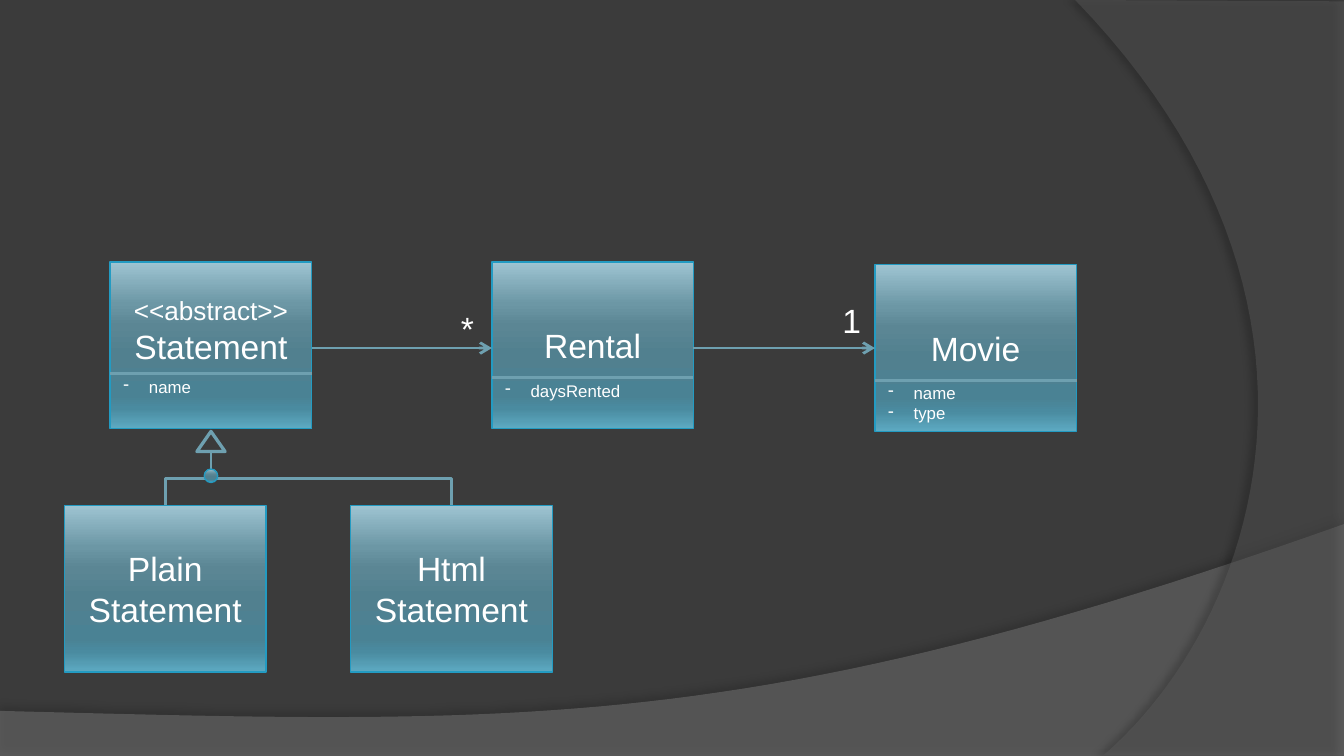
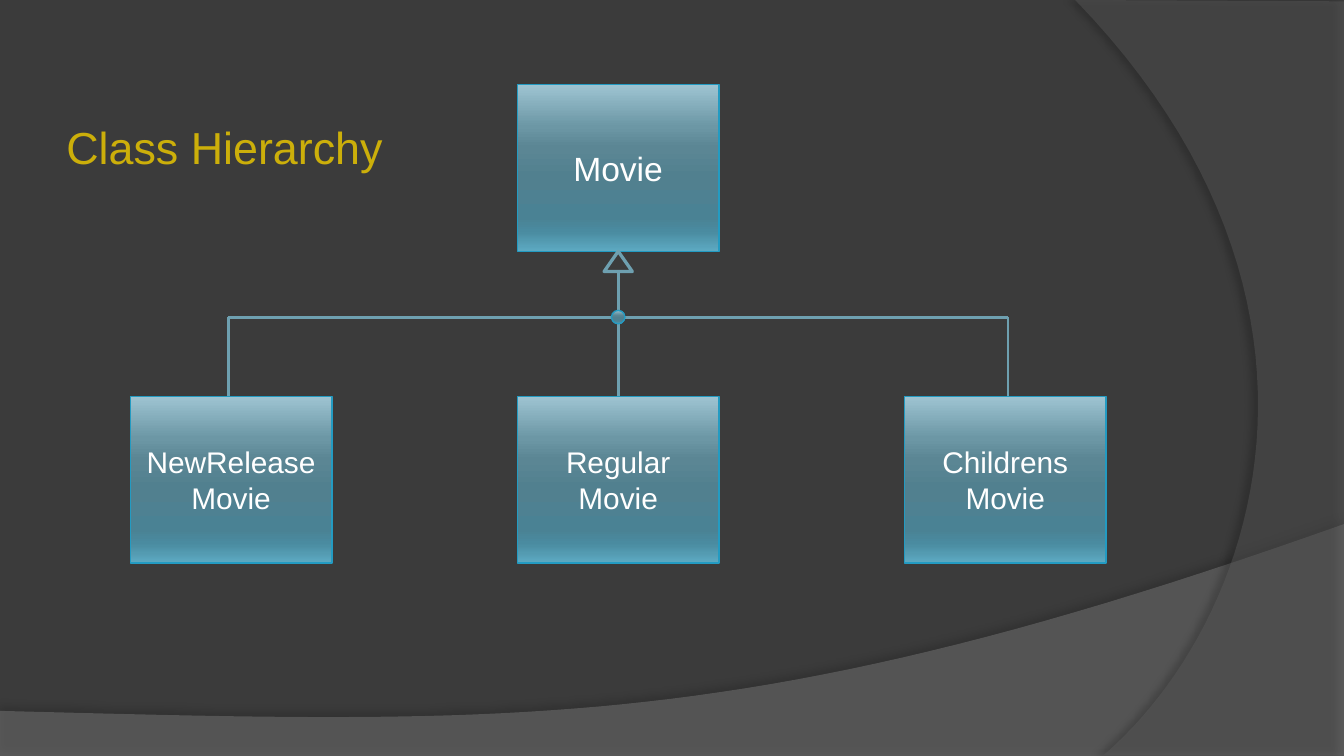
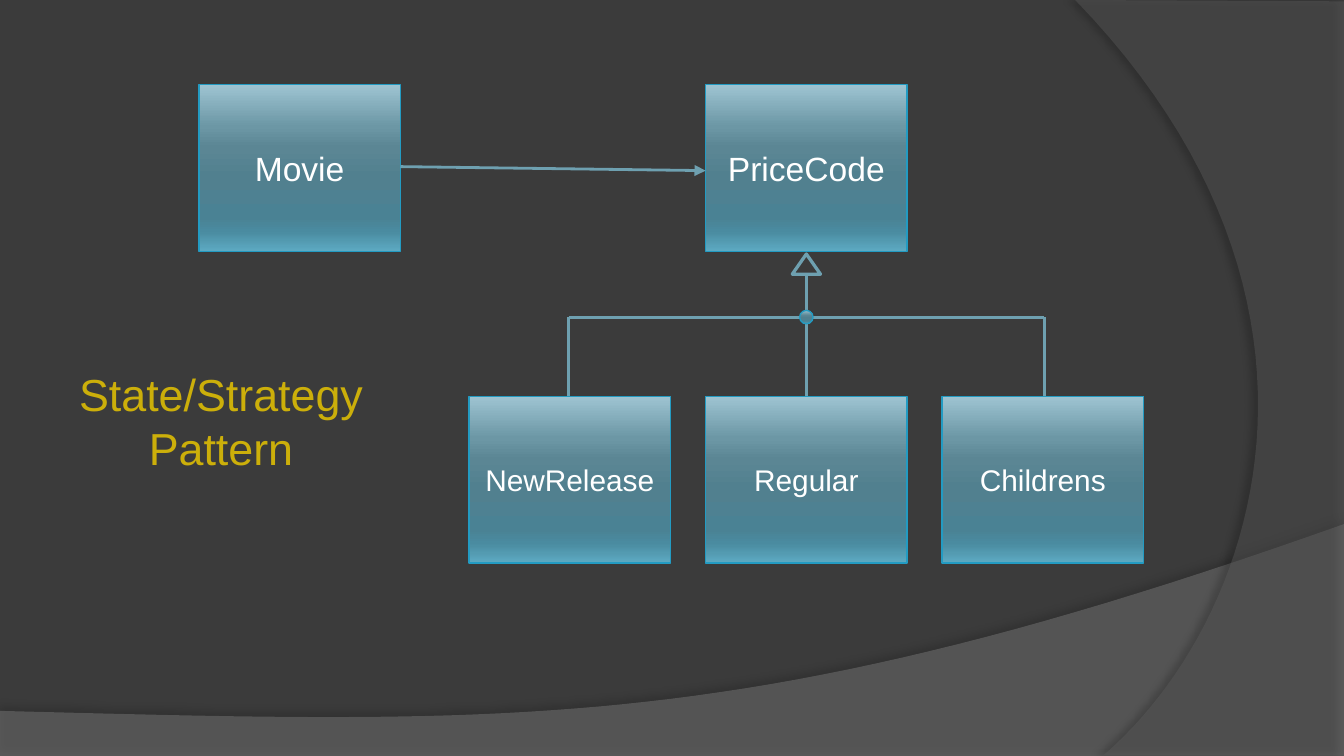
import lxml.etree
import pptx
import pptx.dml.color
import pptx.enum.shapes
import pptx.enum.text
import pptx.oxml.ns
import pptx.util

Inches = pptx.util.Inches
Pt = pptx.util.Pt
qn = pptx.oxml.ns.qn
Shape = pptx.enum.shapes.MSO_SHAPE
Link = pptx.enum.shapes.MSO_CONNECTOR
Align = pptx.enum.text.PP_ALIGN
Anchor = pptx.enum.text.MSO_ANCHOR
Fit = pptx.enum.text.MSO_AUTO_SIZE

FONT = "Arial"
BACK = "3B3B3B"
WHITE = "FFFFFF"
GOLD = "CCAF0A"
EDGE = "239BC2"
WIRE = "6EA0B0"
GLOSS = [(0, "9EC4D2"), (25, "6C97A5"), (38, "5B8694"), (55, "51808F"),
         (80, "4A8294"), (88, "4A8BA0"), (100, "5DAAC2")]
WIDE, HIGH = 1.5, 1.24
HEAD_W, HEAD_H = 0.21, 0.15
DOT = 0.1


def paint(color, value):
    color.rgb = pptx.dml.color.RGBColor.from_string(value)


def node(parent, tag, **attrs):
    return lxml.etree.SubElement(
        parent, qn(tag), {key: str(val) for key, val in attrs.items()})


def write(frame, text, sizes, color=WHITE, align=Align.CENTER):
    frame.text = text
    for i, para in enumerate(frame.paragraphs):
        para.alignment = align
        for run in para.runs:
            run.font.name = FONT
            run.font.size = Pt(sizes[min(i, len(sizes) - 1)])
            paint(run.font.color, color)


def label(slide, box, text, size, color=WHITE, align=Align.LEFT, wrap=True):
    item = slide.shapes.add_textbox(*map(Inches, box))
    frame = item.text_frame
    frame.word_wrap = wrap
    frame.auto_size = Fit.SHAPE_TO_FIT_TEXT
    write(frame, text, [size], color, align)
    return frame


def shape(slide, kind, box):
    item = slide.shapes.add_shape(kind, *map(Inches, box))
    item.shadow.inherit = False
    return item


def gloss(slide, kind, box):
    item = shape(slide, kind, box)
    item.fill.gradient()
    item.fill.gradient_angle = 270
    stops = item.element.spPr.find(".//" + qn("a:gsLst"))
    for stop in list(stops):
        stops.remove(stop)
    for pos, value in GLOSS:
        stop = node(stops, "a:gs", pos=pos * 1000)
        node(stop, "a:srgbClr", val=value)
    paint(item.line.color, EDGE)
    item.line.width = Pt(0.75)
    return item


def block(slide, left, top, text, sizes=(18,)):
    item = gloss(slide, Shape.RECTANGLE, (left, top, WIDE, HIGH))
    frame = item.text_frame
    frame.word_wrap = True
    frame.vertical_anchor = Anchor.MIDDLE
    write(frame, text, sizes)
    return frame


def wire(slide, start, end, tail=None, kind=Link.STRAIGHT):
    item = slide.shapes.add_connector(kind, *map(Inches, start + end))
    paint(item.line.color, WIRE)
    item.line.width = Pt(1.5)
    props = item.element.spPr
    if tail:
        node(props.find(qn("a:ln")), "a:tailEnd", type=tail)
    node(props, "a:effectLst")
    return item


def elbow(slide, start, end):
    mid_x, mid_y = (start[0] + end[0]) / 2, (start[1] + end[1]) / 2
    half_w, half_h = (end[1] - start[1]) / 2, abs(end[0] - start[0]) / 2
    item = wire(slide, (mid_x - half_w, mid_y - half_h),
                (mid_x + half_w, mid_y + half_h), kind=Link.ELBOW)
    turn = item.element.spPr.find(qn("a:xfrm"))
    if end[0] > start[0]:
        turn.set("rot", str(270 * 60000))
        turn.set("flipH", "1")
    else:
        turn.set("rot", str(90 * 60000))


def head(slide, mid, top):
    item = shape(slide, Shape.ISOSCELES_TRIANGLE,
                 (mid - HEAD_W / 2, top, HEAD_W, HEAD_H))
    item.fill.background()
    paint(item.line.color, WIRE)
    item.line.width = Pt(1.75)


def joint(slide, mid, level):
    gloss(slide, Shape.OVAL, (mid - DOT / 2, level - DOT / 2, DOT, DOT))


def fields(slide, box, names):
    frame = label(slide, box, "\n".join(names), 9)
    for para in frame.paragraphs:
        props = para._p.get_or_add_pPr()
        props.set("marL", str(Inches(0.19)))
        props.set("indent", str(Inches(-0.19)))
        node(props, "a:buChar", char="-")


def card(slide, left, top, text, names, rule, sizes=(18,)):
    frame = block(slide, left, top, text, sizes)
    fields(slide, (left, top + rule - 0.03, WIDE, 0.1 + 0.15 * len(names)), names)
    wire(slide, (left, top + rule), (left + WIDE, top + rule))
    return frame


def tree(slide, left, top, root, kids, pitch, reach, gap=0):
    mid = left + pitch + WIDE / 2
    level, floor = top + 1.73, top + 2.32
    block(slide, left + pitch, top, root)
    for i, kid in enumerate(kids):
        block(slide, left + i * pitch, floor, kid, (16,))
    tip = top + HIGH + gap
    wire(slide, (mid, tip + HEAD_H), (mid, floor))
    head(slide, mid, tip)
    wire(slide, (mid - reach, level), (mid + reach, level))
    for side in (mid - reach, mid + reach):
        wire(slide, (side, level), (side, floor))
    joint(slide, mid, level)


def bezier(start, ctrl1, ctrl2, end, count=48):
    for i in range(1, count + 1):
        t = i / count
        u = 1 - t
        yield tuple(u**3 * a + 3 * u * u * t * b + 3 * u * t * t * c + t**3 * d
                    for a, b, c, d in zip(start, ctrl1, ctrl2, end))


def swoop(slide, left, top, edge, curve, color, alpha, shade):
    points = edge + list(bezier(edge[-1], *curve))
    points = [(Inches(left + x), Inches(top + y)) for x, y in points]
    pen = slide.shapes.build_freeform(*points[0])
    pen.add_line_segments(points[1:], close=True)
    item = pen.convert_to_shape()
    item.shadow.inherit = False
    item.fill.solid()
    paint(item.fill.fore_color, color)
    item.line.fill.background()
    props = item.element.spPr
    tint = props.find(qn("a:solidFill")).find(qn("a:srgbClr"))
    node(tint, "a:alpha", val=alpha * 1000)
    dark, blur, dist, angle = shade
    glow = node(props.find(qn("a:effectLst")), "a:outerShdw", blurRad=Pt(blur),
                dist=Pt(dist), dir=angle * 60000, algn="ctr", rotWithShape=0)
    node(node(glow, "a:srgbClr", val="000000"), "a:alpha", val=dark * 1000)
    return item


def backdrop(master, slide):
    master.background.fill.solid()
    paint(master.background.fill.fore_color, BACK)
    wave = swoop(slide, 0, 3.9, [(0, 1.39), (0, 1.73), (10, 1.73), (10, 0)],
                 [(5.59, 1.57), (3.91, 1.49), (0, 1.39)],
                 "7F7F7F", 45, (35, 4, 3.5, 270))
    arc = swoop(slide, 8, 0, [(2, 0.01), (2, 5.62), (0.21, 5.62)],
                [(1.35, 4.64), (2.18, 2.25), (0, 0)],
                "5E5E5E", 40, (45, 4, 4, 180))
    for i, item in enumerate((wave, arc)):
        item.element.nvSpPr.cNvPr.set("id", str(20 + i))
        master.shapes.element.append(item.element)


def model(slide, left, top):
    frame = card(slide, left, top, "<<abstract>>\nStatement", ["name"], 0.83, (14, 18))
    frame.margin_bottom = Inches(0.27)
    rental, movie = left + 2.84, left + 5.69
    card(slide, rental, top, "Rental", ["daysRented"], 0.86)
    card(slide, movie, top + 0.02, "Movie", ["name", "type"], 0.86)
    level = top + 0.64
    wire(slide, (left + WIDE, level), (rental, level), "arrow")
    wire(slide, (rental + WIDE, level), (movie, level), "arrow")
    label(slide, (rental - 0.33, top + 0.29, 0.25, 0.4), "*", 18)
    label(slide, (movie - 0.34, top + 0.23, 0.25, 0.4), "1", 18)
    mid, tip, floor = left + WIDE / 2, top + 1.26, top + 1.81
    fork = (mid, tip + HEAD_H)
    for x, name in ((left + 1.79, "Html"), (left - 0.34, "Plain")):
        block(slide, x, floor, name + "\nStatement")
        elbow(slide, fork, (x + WIDE / 2, floor))
    head(slide, mid, tip)
    joint(slide, mid, top + 1.59)


def ranks(slide, left, top):
    tree(slide, left, top, "Movie",
         ["NewRelease\vMovie", "Regular\vMovie", "Childrens\nMovie"], 2.88, 2.9)
    label(slide, (left - 0.59, top + 0.21, 2.58, 0.5), "Class Hierarchy", 24,
          GOLD, Align.CENTER, False)


def state(slide, left, top):
    pitch = 1.76
    tree(slide, left, top, "PriceCode", ["NewRelease", "Regular", "Childrens"],
         pitch, 1.77, 0.02)
    block(slide, left - 2.01, top, "Movie")
    wire(slide, (left - 2.01 + WIDE, top + 0.61), (left + pitch, top + 0.64), "triangle")
    label(slide, (left - 3.01, top + 2.05, 2.33, 0.91), "State/Strategy\nPattern", 24,
          GOLD, Align.CENTER, False)


deck = pptx.Presentation()
deck.slide_width = Inches(10)
deck.slide_height = Inches(10) * 9 // 16
blank = deck.slide_layouts[6]
first, second, third = [deck.slides.add_slide(blank) for _ in range(3)]
backdrop(deck.slide_master, first)
model(first, 0.82, 1.95)
ranks(second, 0.97, 0.63)
state(third, 3.49, 0.63)
deck.save("out.pptx")
